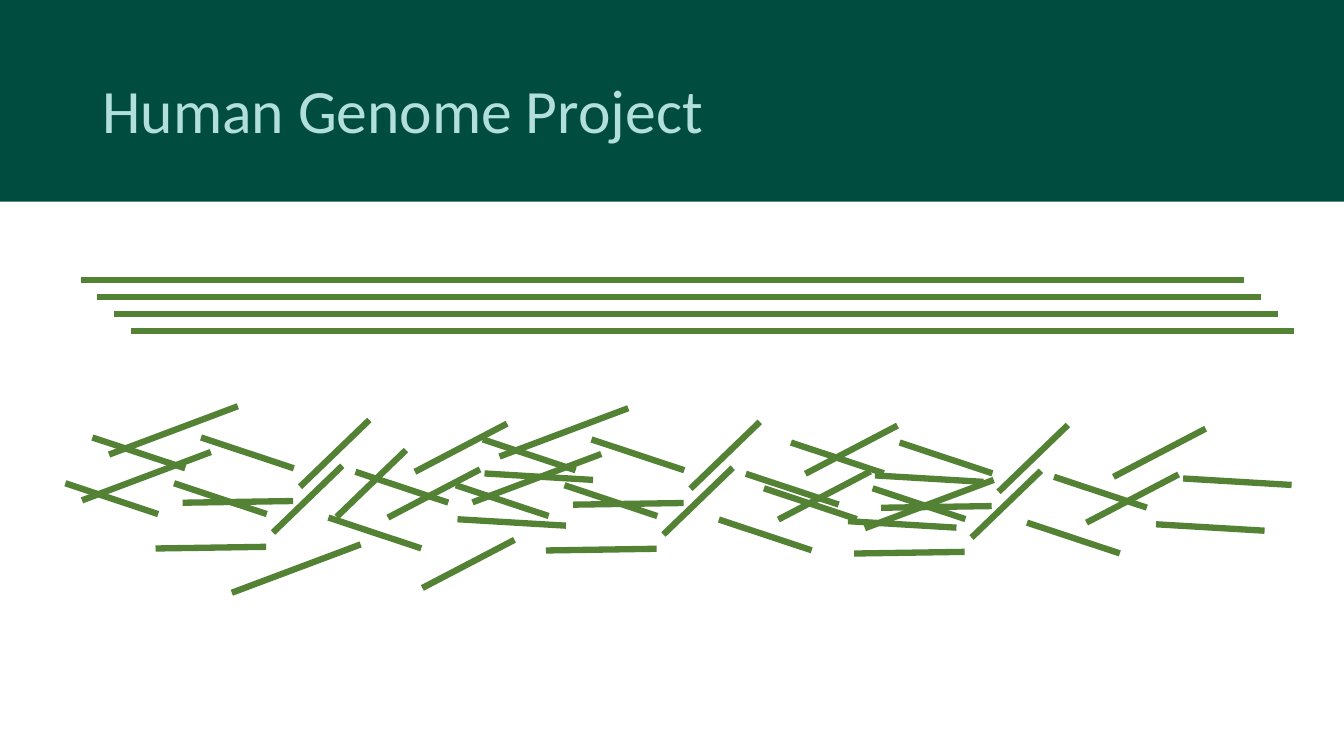
"""Build the Human Genome Project slide with whole strands and their fragments."""
from dataclasses import dataclass

import lxml.etree
import pptx
import pptx.dml.color
import pptx.enum.shapes
import pptx.enum.text
import pptx.oxml.ns
import pptx.slide
import pptx.util

COLOURS = {"band": "004D40", "title": "B2DFDB", "strand": "548235"}
LINE_WIDTH = 4.5
STRAND_COUNT, STRAND_STEP, STRAND_LENGTH = 4, 12, 831
STRAND_LEFT, STRAND_TOP = 57.6, 200.2


@dataclass(frozen=True)
class Fragment:
    kind: str
    x: float
    y: float


@dataclass(frozen=True)
class Cluster:
    x: float
    y: float
    fragments: tuple[Fragment, ...]


EXTENTS = {
    "falling": (66.3, 22),
    "long": (92, -34.5),
    "flat": (79, -1.2),
    "steep": (49.5, -47.7),
    "rising": (65.8, -34.4),
    "shallow": (77.5, 4.6),
}
FULL_SET = (
    Fragment("falling", 0, 0),
    Fragment("long", 11.9, 12.2),
    Fragment("falling", 77.6, 0),
    Fragment("flat", 64.4, 46.6),
    Fragment("steep", 148.3, 35.2),
    Fragment("falling", 187.9, 24.5),
    Fragment("rising", 230.4, 24.5),
    Fragment("shallow", 280.1, 25.7),
)
SHORT_SET = tuple(fragment for fragment in FULL_SET if fragment.kind != "long")
CLUSTERS = (
    Cluster(66, 312.5, FULL_SET),
    Cluster(344.9, 313.9, FULL_SET),
    Cluster(565, 316.1, SHORT_SET),
)
ROW_SHIFTS = ((0, 0), (-19.3, 32.7))
LOOSE_FRAGMENTS = (
    Fragment("long", 165.6, 423.4),
    Fragment("steep", 240.5, 369.2),
    Fragment("rising", 301.7, 420),
    Fragment("long", 617.8, 377.3),
)


def colour(name: str) -> pptx.dml.color.RGBColor:
    return pptx.dml.color.RGBColor.from_string(COLOURS[name])


def draw_line(slide: pptx.slide.Slide, x: float, y: float, width: float, height: float) -> None:
    connector = slide.shapes.add_connector(
        pptx.enum.shapes.MSO_CONNECTOR.STRAIGHT,
        *(pptx.util.Pt(length) for length in (x, y, x + width, y + height)),
    )
    connector.line.color.rgb = colour("strand")
    connector.line.width = pptx.util.Pt(LINE_WIDTH)
    lxml.etree.SubElement(connector.element.spPr, pptx.oxml.ns.qn("a:effectLst"))


def draw_fragment(slide: pptx.slide.Slide, fragment: Fragment, x: float = 0, y: float = 0) -> None:
    draw_line(slide, x + fragment.x, y + fragment.y, *EXTENTS[fragment.kind])


def draw_header(slide: pptx.slide.Slide) -> None:
    band = slide.shapes.add_shape(
        pptx.enum.shapes.MSO_SHAPE.RECTANGLE, 0, 0, pptx.util.Pt(960), pptx.util.Pt(144)
    )
    band.shadow.inherit = False
    band.fill.solid()
    band.fill.fore_color.rgb = colour("band")
    band.line.fill.background()

    title = slide.shapes.title
    title.element.addprevious(band.element)
    title.left, title.top = pptx.util.Pt(66), pptx.util.Pt(28.8)
    title.width, title.height = pptx.util.Pt(828), pptx.util.Pt(104.4)
    title.text_frame.text = "Human Genome Project"
    title.text_frame.word_wrap = True
    title.text_frame.vertical_anchor = pptx.enum.text.MSO_ANCHOR.MIDDLE
    paragraph = title.text_frame.paragraphs[0]
    paragraph.alignment = pptx.enum.text.PP_ALIGN.LEFT
    paragraph.line_spacing = 0.9
    font = paragraph.runs[0].font
    font.name = "Calibri"
    font.size = pptx.util.Pt(44)
    font.color.rgb = colour("title")


def main() -> None:
    presentation = pptx.Presentation()
    presentation.slide_width = pptx.util.Pt(960)
    presentation.slide_height = pptx.util.Pt(540)
    slide = presentation.slides.add_slide(presentation.slide_layouts.get_by_name("Title Only"))
    draw_header(slide)
    for index in range(STRAND_COUNT):
        shift = index * STRAND_STEP
        draw_line(slide, STRAND_LEFT + shift, STRAND_TOP + shift, STRAND_LENGTH, 0)
    for shift_x, shift_y in ROW_SHIFTS:
        for cluster in CLUSTERS:
            for fragment in cluster.fragments:
                draw_fragment(slide, fragment, cluster.x + shift_x, cluster.y + shift_y)
    for fragment in LOOSE_FRAGMENTS:
        draw_fragment(slide, fragment)
    presentation.save("out.pptx")


if __name__ == "__main__":
    main()
